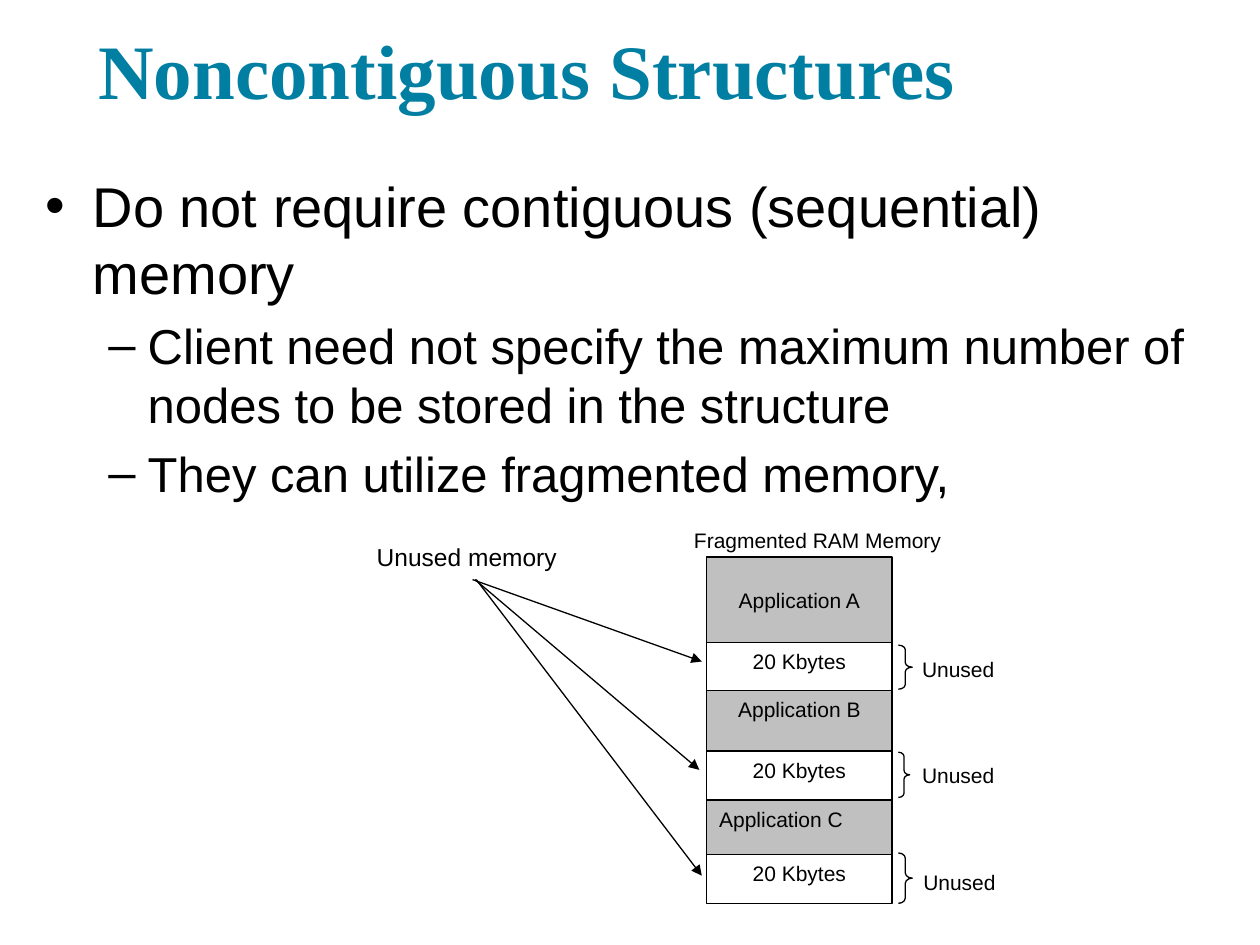
from pptx import Presentation
from pptx.dml.color import RGBColor
from pptx.enum.shapes import MSO_CONNECTOR, MSO_SHAPE
from pptx.enum.text import MSO_ANCHOR, MSO_AUTO_SIZE, PP_ALIGN
from pptx.oxml.ns import qn
from pptx.util import Inches, Pt
from lxml.etree import SubElement

# Content
TITLE = "Noncontiguous Structures"
POINTS = [
    (0, "Do not require contiguous (sequential) memory"),
    (1, "Client need not specify the maximum number of nodes to be stored in the structure"),
    (1, "They can utilize fragmented memory,"),
]
LEFT, MID = PP_ALIGN.LEFT, PP_ALIGN.CENTER
FREE = "20 Kbytes"
# Memory blocks from top to bottom: text, height, alignment, top inset
BLOCKS = [
    ("Application A", 0.68, MID, 0.24),
    (FREE, 0.38, MID, 0.05),
    ("Application B", 0.48, MID, 0.05),
    (FREE, 0.39, MID, 0.05),
    ("Application C", 0.43, LEFT, 0.05),
    (FREE, 0.39, MID, 0.05),
]
# One per free block: brace (top, width, height, curve), label (left, top), arrow (from x, to x, to y)
MARKS = [
    ((5.12, 0.11, 0.35, 0.33), (7.2, 5.02), (3.75, 5.57, 5.25)),
    ((5.97, 0.09, 0.36, 0.38), (7.2, 5.86), (3.77, 5.55, 6.11)),
    ((6.77, 0.11, 0.4, 0.38), (7.21, 6.71), (3.78, 5.57, 6.95)),
]
COLORS = {"title": "007FA3", "ink": "000000", "used": "C0C0C0", "free": "FFFFFF"}
STACK_X, STACK_Y, STACK_W = 5.61, 4.42, 1.47
BRACE_X, ARROW_Y = 7.13, 4.6
SIDES = ("left", "top", "right", "bottom")


def color(key):
    return RGBColor.from_string(COLORS[key])


def place(shape, *box):
    for name, size in zip(("left", "top", "width", "height"), box):
        setattr(shape, name, Inches(size))


def style(part, size, name="Arial", ink="ink", bold=False):
    look = {"size": Pt(size), "name": name, "bold": bold}
    for key, value in look.items():
        setattr(part.font, key, value)
    part.font.color.rgb = color(ink)


def write(shape, text, size, align=LEFT, inset=(0.1, 0.05, 0.1, 0.05),
          anchor=MSO_ANCHOR.TOP, wrap=True, **look):
    frame = shape.text_frame
    frame.text = text
    form = {"word_wrap": wrap, "auto_size": MSO_AUTO_SIZE.NONE, "vertical_anchor": anchor}
    form.update({f"margin_{side}": Inches(gap) for side, gap in zip(SIDES, inset)})
    for key, value in form.items():
        setattr(frame, key, value)
    frame.paragraphs[0].alignment = align
    style(frame.paragraphs[0].runs[0], size, **look)


def label(text, box, size=12, **form):
    write(slide.shapes.add_textbox(*map(Inches, box)), text, size, **form)


def outline(shape):
    shape.line.color.rgb = color("ink")
    shape.line.width = Pt(0.75)


def draw(kind, *box):
    shape = slide.shapes.add_shape(kind, *map(Inches, box))
    shape.shadow.inherit = False
    outline(shape)
    return shape


def arrow(*ends):
    line = slide.shapes.add_connector(MSO_CONNECTOR.STRAIGHT, *map(Inches, ends))
    outline(line)
    SubElement(line.line._get_or_add_ln(), qn("a:tailEnd"), type="triangle")
    SubElement(line._element.spPr, qn("a:effectLst"))


deck = Presentation()
deck.slide_width, deck.slide_height = Inches(10), Inches(7.5)
slide = deck.slides.add_slide(deck.slide_layouts[1])

# Title and list
title, body = slide.placeholders
place(title, 0.68, 0.06, 9, 0.95)
write(title, TITLE, 44, inset=(0.1,) * 4, anchor=MSO_ANCHOR.BOTTOM,
      name="Times New Roman", ink="title", bold=True)
place(body, 0.26, 1.31, 9.42, 4.95)
frame = body.text_frame
frame.auto_size = MSO_AUTO_SIZE.NONE
frame.text = "\n".join(text for _, text in POINTS)
for para, (level, _) in zip(frame.paragraphs, POINTS):
    para.level = level
    style(para.runs[0], (32, 28)[level])

# Memory stack
top = STACK_Y
for text, height, align, inset in BLOCKS:
    block = draw(MSO_SHAPE.RECTANGLE, STACK_X, top, STACK_W, height)
    block.fill.solid()
    block.fill.fore_color.rgb = color("free" if text == FREE else "used")
    write(block, text, 12, align, (0.1, inset, 0.1, 0.05))
    top += height
label("Fragmented RAM Memory", (5.41, 4.14, 2.4, 0.34))

# Braces, labels and arrows of the free blocks
for (y, width, height, curve), spot, (start, x, tip) in MARKS:
    brace = draw(MSO_SHAPE.RIGHT_BRACE, BRACE_X, y, width, height)
    brace.fill.background()
    brace.adjustments[0] = curve
    label("Unused", (*spot, 0.81, 0.36), align=MID, inset=(0.1, 0.19, 0.1, 0))
    arrow(start, ARROW_Y, x, tip)
label("Unused memory", (2.94, 4.25, 1.54, 0.34), 14, inset=(0.05,) * 4, wrap=False)

deck.save("out.pptx")
